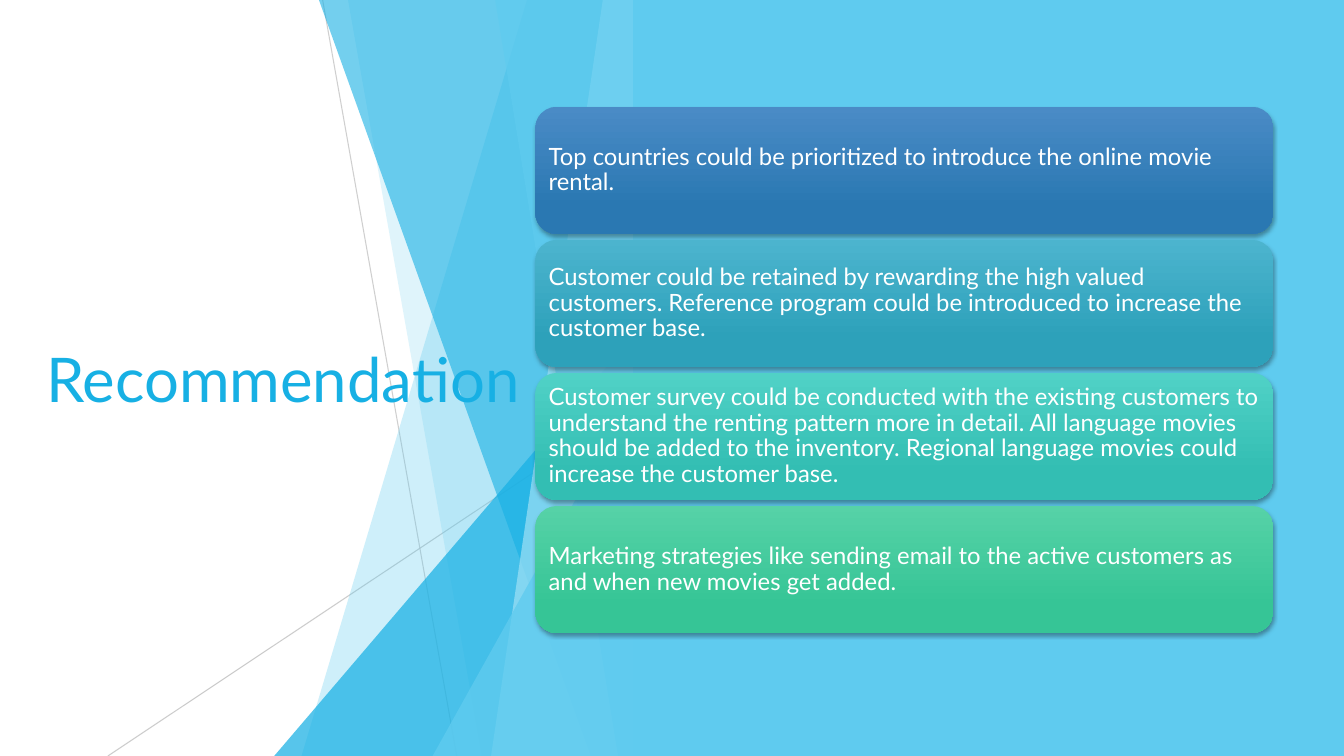
import lxml.etree
import pptx
import pptx.dml.color
import pptx.enum.shapes
import pptx.enum.text
import pptx.oxml.ns
import pptx.util

Inches = pptx.util.Inches
Pt = pptx.util.Pt
RGBColor = pptx.dml.color.RGBColor
SHAPES = pptx.enum.shapes.MSO_SHAPE
qn = pptx.oxml.ns.qn

WHITE = RGBColor(0xFF, 0xFF, 0xFF)
BLACK = RGBColor(0x00, 0x00, 0x00)
GREY = RGBColor(0xBF, 0xBF, 0xBF)
SKY = RGBColor(0x5F, 0xCB, 0xEF)
AZURE = RGBColor(0x17, 0xB0, 0xE4)
PALE = RGBColor(0x9F, 0xE0, 0xF5)
FONT = "Lato"
PANEL_LEFT = 6.28
SLIDE_WIDTH = 13.33
SLIDE_HEIGHT = 7.5

RECOMMENDATIONS = [
    ("Top countries could be prioritized to introduce the online movie rental.",
     RGBColor(0x4A, 0x8B, 0xC6), RGBColor(0x2A, 0x78, 0xB2)),
    ("Customer could be retained by rewarding the high valued customers. "
     "Reference program could be introduced to increase the customer base.",
     RGBColor(0x4C, 0xB4, 0xCE), RGBColor(0x2D, 0xA1, 0xBA)),
    ("Customer survey could be conducted with the existing customers to understand "
     "the renting pattern more in detail. All language movies should be added to the "
     "inventory. Regional language movies could increase the customer base.",
     RGBColor(0x50, 0xD1, 0xC6), RGBColor(0x33, 0xBE, 0xB3)),
    ("Marketing strategies like sending email to the active customers as and when "
     "new movies get added.",
     RGBColor(0x56, 0xD2, 0xA7), RGBColor(0x36, 0xC5, 0x96)),
]


def set_opacity(element, percent):
    color = element.find(".//" + qn("a:srgbClr"))
    lxml.etree.SubElement(color, qn("a:alpha"), val=str(percent * 1000))


def paint(shape, color, opacity=100):
    shape.shadow.inherit = False
    shape.fill.solid()
    shape.fill.fore_color.rgb = color
    shape.line.fill.background()
    if opacity < 100:
        set_opacity(shape._element.spPr, opacity)


def add_ray(slide, start, end, opacity):
    ray = slide.shapes.add_connector(
        pptx.enum.shapes.MSO_CONNECTOR.STRAIGHT,
        *(Inches(value) for value in start + end))
    ray.line.color.rgb = GREY
    ray.line.width = Pt(0.75)
    set_opacity(ray._element.spPr, opacity)
    lxml.etree.SubElement(ray._element.spPr, qn("a:effectLst"))


def add_facet(slide, top_left, bottom_left, color, opacity):
    corners = [(top_left, -0.01), (PANEL_LEFT, -0.01),
               (PANEL_LEFT, SLIDE_HEIGHT), (bottom_left, SLIDE_HEIGHT)]
    points = [(Inches(x), Inches(y)) for x, y in corners]
    outline = slide.shapes.build_freeform(*points[0])
    outline.add_line_segments(points[1:], close=True)
    paint(outline.convert_to_shape(), color, opacity)


def add_wedge(slide, left, top, color, opacity):
    wedge = slide.shapes.add_shape(
        SHAPES.ISOSCELES_TRIANGLE, Inches(left), Inches(top),
        Inches(PANEL_LEFT - left), Inches(SLIDE_HEIGHT - top))
    wedge.adjustments[0] = 1
    paint(wedge, color, opacity)


def style_text(frame, text, size, color):
    frame.word_wrap = True
    frame.vertical_anchor = pptx.enum.text.MSO_ANCHOR.MIDDLE
    paragraph = frame.paragraphs[0]
    paragraph.text = text
    paragraph.alignment = pptx.enum.text.PP_ALIGN.LEFT
    paragraph.font.name = FONT
    paragraph.font.size = Pt(size)
    paragraph.font.color.rgb = color
    return paragraph


def add_title(slide, text):
    title = slide.shapes.add_textbox(Inches(0.36), Inches(1.51), Inches(5.21), Inches(4.48))
    style_text(title.text_frame, text, 44, AZURE)


def add_panel(slide):
    panel = slide.shapes.add_shape(
        SHAPES.RECTANGLE, Inches(PANEL_LEFT), 0,
        Inches(SLIDE_WIDTH - PANEL_LEFT), Inches(SLIDE_HEIGHT))
    paint(panel, SKY)


def add_drop_shadow(shape):
    shape.shadow.inherit = False
    effects = shape._element.spPr.find(qn("a:effectLst"))
    shadow = lxml.etree.SubElement(
        effects, qn("a:outerShdw"), blurRad=str(Pt(3)), dist=str(Pt(2)),
        dir="5400000", algn="ctr", rotWithShape="0")
    lxml.etree.SubElement(shadow, qn("a:srgbClr"), val=str(BLACK))
    set_opacity(shadow, 35)


def add_card(slide, top, text, upper_color, lower_color):
    card = slide.shapes.add_shape(
        SHAPES.ROUNDED_RECTANGLE, Inches(5.31), Inches(top), Inches(7.32), Inches(1.26))
    card.line.fill.background()
    card.fill.gradient()
    card.fill.gradient_angle = 270
    upper, lower = card.fill.gradient_stops
    upper.color.rgb, upper.position = upper_color, 0
    lower.color.rgb, lower.position = lower_color, 0.78
    add_drop_shadow(card)
    frame = card.text_frame
    frame.margin_left = frame.margin_right = Inches(0.07)
    frame.margin_top = frame.margin_bottom = Inches(0.07)
    style_text(frame, text, 17, WHITE).line_spacing = 0.9


def main():
    deck = pptx.Presentation()
    deck.slide_width = Inches(SLIDE_WIDTH)
    deck.slide_height = Inches(SLIDE_HEIGHT)
    slide = deck.slides.add_slide(deck.slide_layouts[6])
    slide.background.fill.solid()
    slide.background.fill.fore_color.rgb = WHITE

    add_ray(slide, (3.2, 0), (4.53, SLIDE_HEIGHT), 75)
    add_ray(slide, (PANEL_LEFT, 4.03), (1.07, SLIDE_HEIGHT), 80)
    add_facet(slide, 5.23, 2.99, SKY, 30)
    add_facet(slide, 3.45, 4.78, SKY, 20)
    add_wedge(slide, 2.72, 3.33, AZURE, 72)
    add_facet(slide, 3.16, 5.86, AZURE, 60)
    add_facet(slide, 5.98, 4.87, PALE, 70)
    add_facet(slide, 4.91, 6.13, SKY, 65)
    add_wedge(slide, 4.29, 3.93, SKY, 80)
    add_title(slide, "Recommendation")
    add_panel(slide)
    for index, (text, upper_color, lower_color) in enumerate(RECOMMENDATIONS):
        add_card(slide, 1.06 + 1.32 * index, text, upper_color, lower_color)

    deck.save("out.pptx")


if __name__ == "__main__":
    main()
